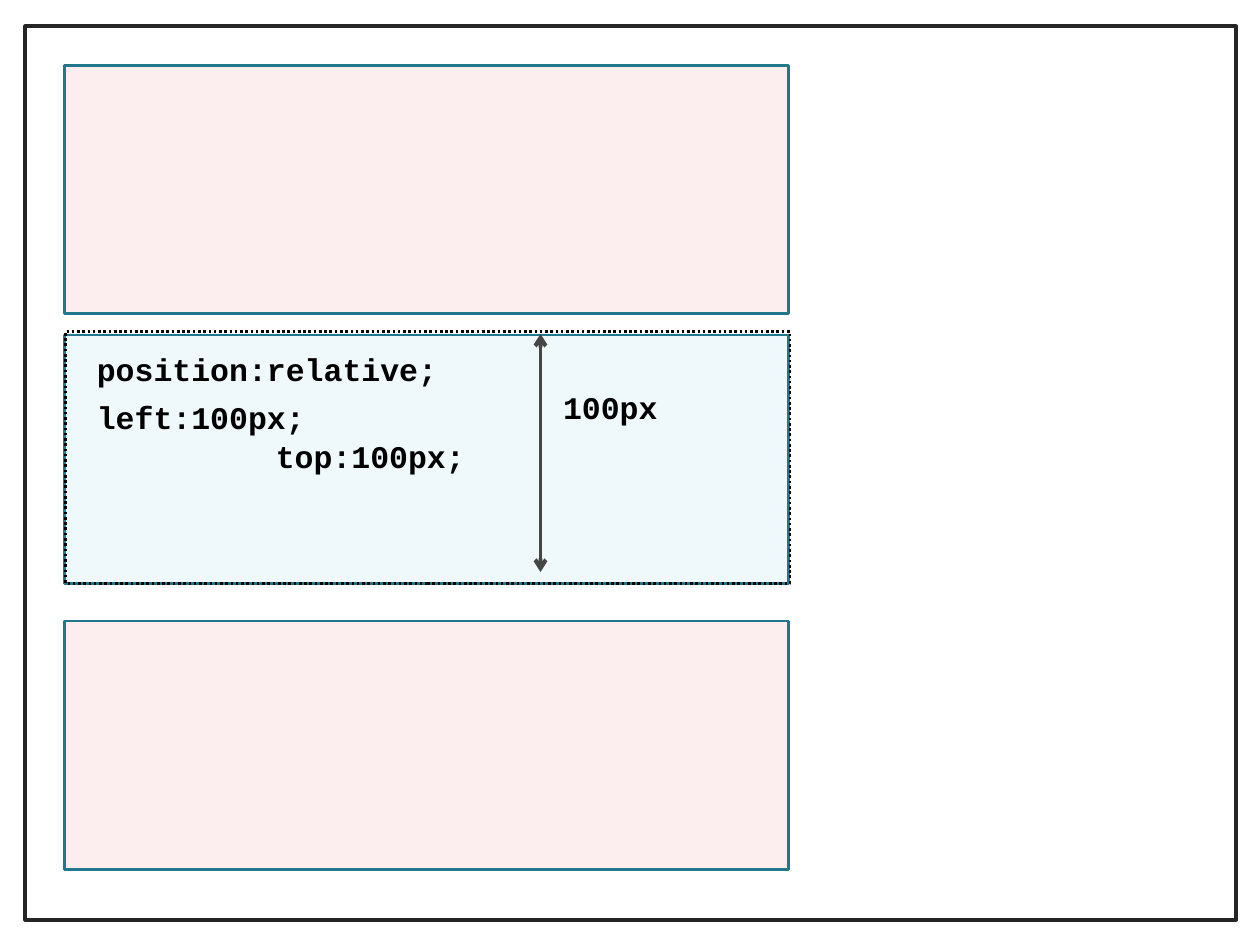
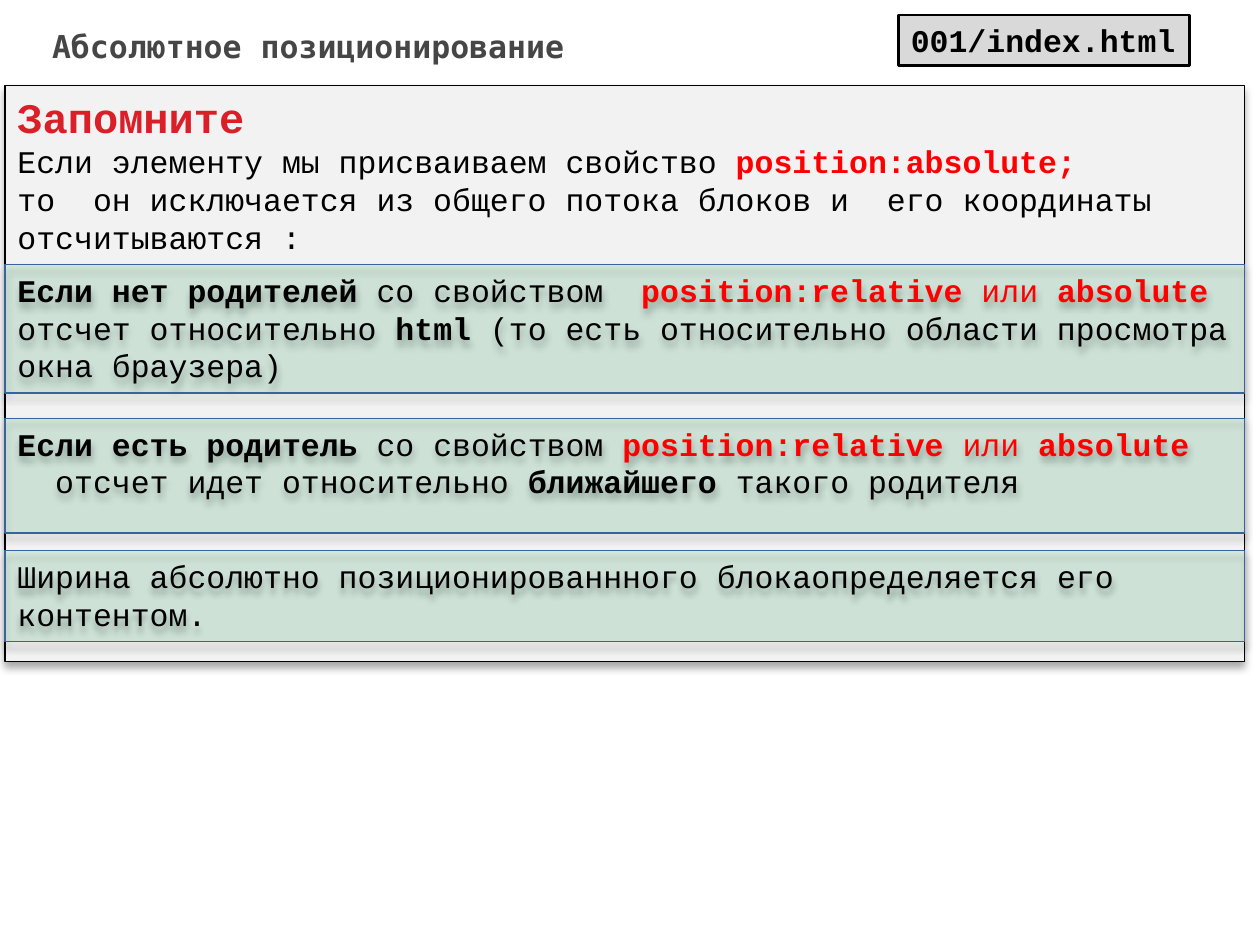
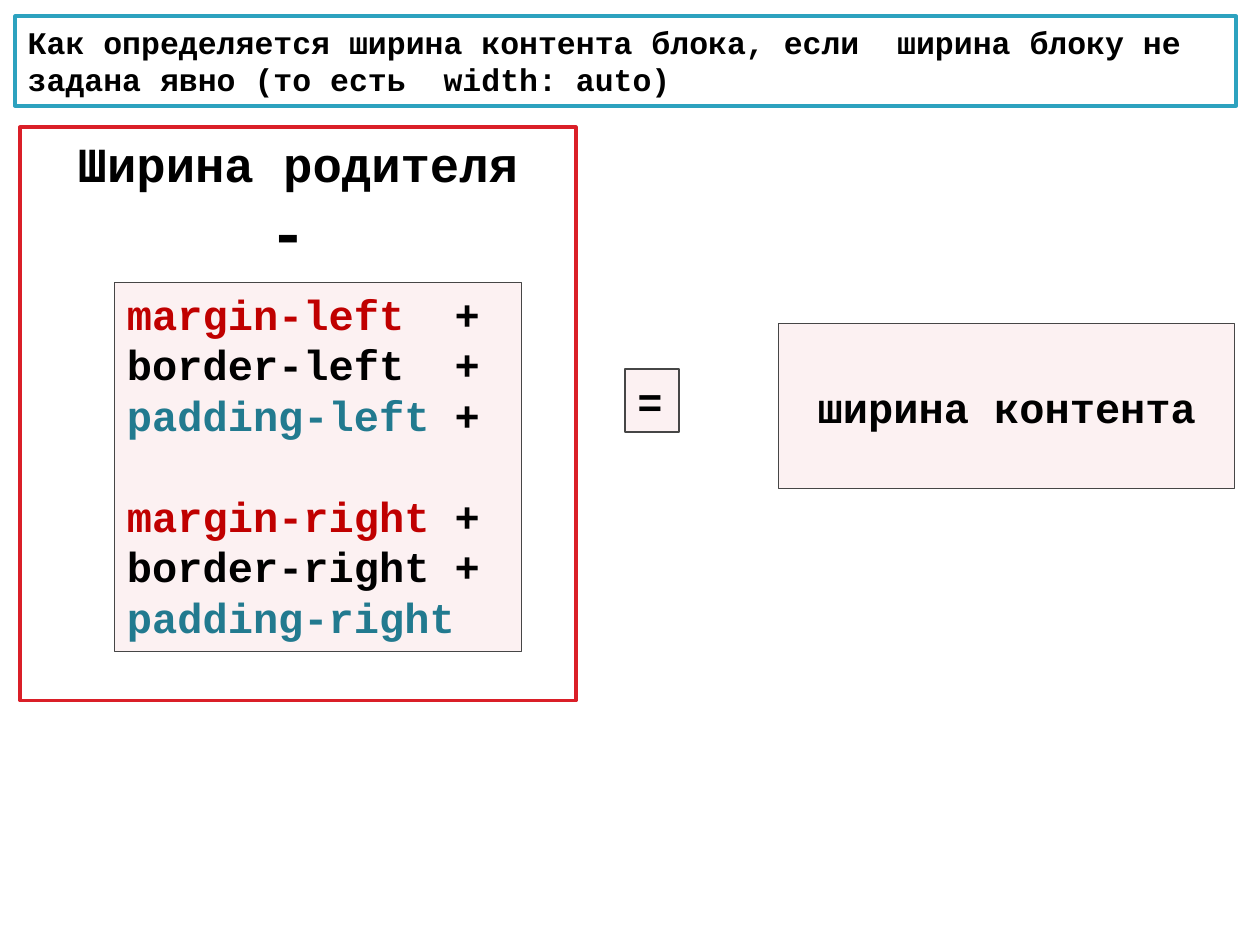
"""Build three slides about CSS positioning and block width."""
from lxml import etree
from pptx import Presentation, util as u
from pptx.dml.color import RGBColor
from pptx.enum import dml, shapes, text
from pptx.oxml.ns import qn

MONO = "Courier New"
BLACK, WHITE, GREY, RED, TEAL = "000000", "FFFFFF", "464646", "DA1F28", "21788D"
HOT, DEEP, SEA, SKY = "FF0000", "C00000", "227A8F", "2DA2BF"

BLOCKS = [(0.52, "F9D1D3"), (4.93, "F9D1D3"), (2.66, "D3EEF5")]
LABELS = [
    ("position:relative;", 0.67, 2.73, 2.91),
    ("left:100px;", 0.67, 3.11, 2.91),
    ("top:100px;", 2.09, 3.42, 2.91),
    ("100px", 4.37, 3.03, 1.02),
]

BOLD, PLAIN = {"bold": True}, {"bold": False}
ALERT = {"bold": True, "tint": HOT}
EITHER = [("position:relative ", ALERT), ("или ", {"tint": HOT}), ("absolute", ALERT)]
NOTE = [
    [("Запомните", {"bold": True, "tint": RED, "size": 24})],
    ["Если элементу мы присваиваем свойство ", ("position:absolute;", ALERT)],
    ["то  он исключается из общего потока блоков и  его координаты"],
    ["отсчитываются :"],
]
RULES = [
    (2.1, 1.02, [
        [("Если нет родителей ", BOLD), "со свойством  ", *EITHER],
        ["отсчет относительно ", ("html ", BOLD),
         "(то есть относительно области просмотра окна браузера)"]]),
    (3.32, 0.91, [
        [("Если есть родитель ", BOLD), "со свойством ", *EITHER],
        ["отсчет идет относительно ", ("ближайшего ", BOLD), "такого родителя"]]),
    (4.37, 0.72, [
        ["Ширина абсолютно позиционированнного блокаопределяется его контентом."]]),
]

ASK = "Как определяется ширина контента блока, если  ширина блоку не задана явно (то есть  width: auto)"
PARENT = [
    [("Ширина родителя", {"size": 28})],
    [("-", {"size": 36}), (" ", {"size": 18})],
]
TERMS = [
    [("margin-left  ", {"tint": DEEP}), "+"],
    ["border-left  +"],
    [("padding-left ", {"tint": SEA}), "+"],
    [("margin-right", {"tint": DEEP}), " +"],
    ["border-right +"],
    [("padding-right", {"tint": SEA})],
]


def rgb(code):
    """Turn a hex string into a colour."""
    return RGBColor.from_string(code)


def write(shape, rows, size=18, tint=BLACK, bold=False, font=MONO, center=False, middle=False):
    """Fill a shape with rows of runs and format them."""
    frame = shape.text_frame
    frame.word_wrap = True
    frame.auto_size = text.MSO_AUTO_SIZE.NONE
    frame.vertical_anchor = text.MSO_ANCHOR.MIDDLE if middle else text.MSO_ANCHOR.TOP
    if not center:
        frame.margin_right = 0
    if isinstance(rows, str):
        rows = [[rows]]
    for n, row in enumerate(rows):
        para = frame.add_paragraph() if n else frame.paragraphs[0]
        para.alignment = text.PP_ALIGN.CENTER if center else text.PP_ALIGN.LEFT
        for part in row:
            words, own = (part, {}) if isinstance(part, str) else part
            run = para.add_run()
            run.text = words
            run.font.name = font
            run.font.size = u.Pt(own.get("size", size))
            run.font.bold = own.get("bold", bold)
            run.font.color.rgb = rgb(own.get("tint", tint))
    return frame


def paint(shape, fill=None, alpha=None, line=None, width=0.75):
    """Set the fill, its opacity in percent, and the line."""
    if fill:
        shape.fill.solid()
        shape.fill.fore_color.rgb = rgb(fill)
        if alpha:
            tone = shape.fill._xPr.find(".//" + qn("a:srgbClr"))
            etree.SubElement(tone, qn("a:alpha"), val=str(alpha * 1000))
    else:
        shape.fill.background()
    if line:
        shape.line.color.rgb = rgb(line)
        shape.line.width = u.Pt(width)
    else:
        shape.line.fill.background()


def place(shape, x, y, w, h):
    """Move and size a shape in inches."""
    shape.left, shape.top, shape.width, shape.height = map(u.Inches, (x, y, w, h))


def box(slide, x, y, w, h, **look):
    """Add a rectangle without a shadow."""
    shape = slide.shapes.add_shape(shapes.MSO_SHAPE.RECTANGLE, *map(u.Inches, (x, y, w, h)))
    shape.shadow.inherit = False
    paint(shape, **look)
    return shape


def shade(shape):
    """Give a shape a soft shadow below it."""
    cast = etree.SubElement(
        shape._element.spPr.find(qn("a:effectLst")), qn("a:outerShdw"),
        blurRad=str(u.Pt(4)), dist=str(u.Pt(3)), dir="5400000", rotWithShape="0")
    tone = etree.SubElement(cast, qn("a:srgbClr"), val=BLACK)
    etree.SubElement(tone, qn("a:alpha"), val="35000")
    return shape


def arrow(slide, x, top, end):
    """Draw a vertical arrow with a head at both ends."""
    line = slide.shapes.add_connector(
        shapes.MSO_CONNECTOR.STRAIGHT, *map(u.Inches, (x, top, x, end)))
    line.line.color.rgb = rgb(GREY)
    line.line.width = u.Pt(2.25)
    for tag in ("a:headEnd", "a:tailEnd"):
        etree.SubElement(line.line._ln, qn(tag), type="arrow")
    etree.SubElement(line._element.spPr, qn("a:effectLst"))


def relative(slide):
    """Show a block shifted by relative positioning."""
    box(slide, 0.2, 0.21, 9.61, 7.09, line="262626", width=2.25)
    for y, fill in BLOCKS:
        box(slide, 0.51, y, 5.75, 1.97, fill=fill, alpha=36, line=TEAL, width=1.5)
    arrow(slide, 4.29, 2.65, 4.54)
    for words, x, y, w in LABELS:
        label = slide.shapes.add_textbox(*map(u.Inches, (x, y, w, 0.4)))
        write(label, words, bold=True)
    ghost = box(slide, 0.52, 2.63, 5.75, 2, line=BLACK, width=1.5)
    ghost.line.dash_style = dml.MSO_LINE.ROUND_DOT


def absolute(slide):
    """State the rules of absolute positioning."""
    title = slide.shapes.title
    place(title, 0.12, 0.13, 4.65, 0.47)
    paint(title, fill=WHITE)
    write(title, "Абсолютное позиционирование", tint=GREY, bold=True,
          font="DejaVu Sans Mono", center=True, middle=True)
    write(shade(box(slide, 0.04, 0.68, 9.84, 4.57, fill="F2F2F2", line=BLACK)), NOTE)
    frames = [
        write(shade(box(slide, 0.04, y, 9.84, h, fill="00B050", alpha=11, line="39639D")), rows)
        for y, h, rows in RULES]
    frames[1].paragraphs[1]._p.get_or_add_pPr().set("marL", str(u.Inches(0.3)))
    tag = box(slide, 7.13, 0.12, 2.31, 0.4, fill="D9D9D9", line=BLACK, width=1.5)
    write(tag, "001/index.html", bold=True)


def content(slide):
    """Show how the width of the content follows from the parent."""
    title = slide.shapes.title
    place(title, 0.12, 0.13, 9.69, 0.71)
    paint(title, fill=WHITE, line=SKY, width=2.25)
    write(title, ASK, bold=True)
    pink = {"fill": RED, "alpha": 6, "line": GREY}
    write(box(slide, 6.18, 2.57, 3.62, 1.31, **pink), "ширина контента",
          size=24, bold=True, center=True, middle=True)
    write(box(slide, 4.96, 2.93, 0.43, 0.5, **pink), "=", size=24, bold=True)
    write(box(slide, 0.16, 1.01, 4.41, 4.55, line=RED, width=2.25), PARENT,
          bold=True, center=True)
    sums = write(box(slide, 0.91, 2.24, 3.23, 2.93, **pink), TERMS, size=24, bold=True)
    sums.paragraphs[3].space_before = u.Pt(29)


def main():
    """Build the slides and save them."""
    deck = Presentation()
    deck.slide_width, deck.slide_height = u.Inches(10), u.Inches(7.5)
    for draw, kind in ((relative, 6), (absolute, 5), (content, 5)):
        draw(deck.slides.add_slide(deck.slide_layouts[kind]))
    deck.save("out.pptx")


if __name__ == "__main__":
    main()
